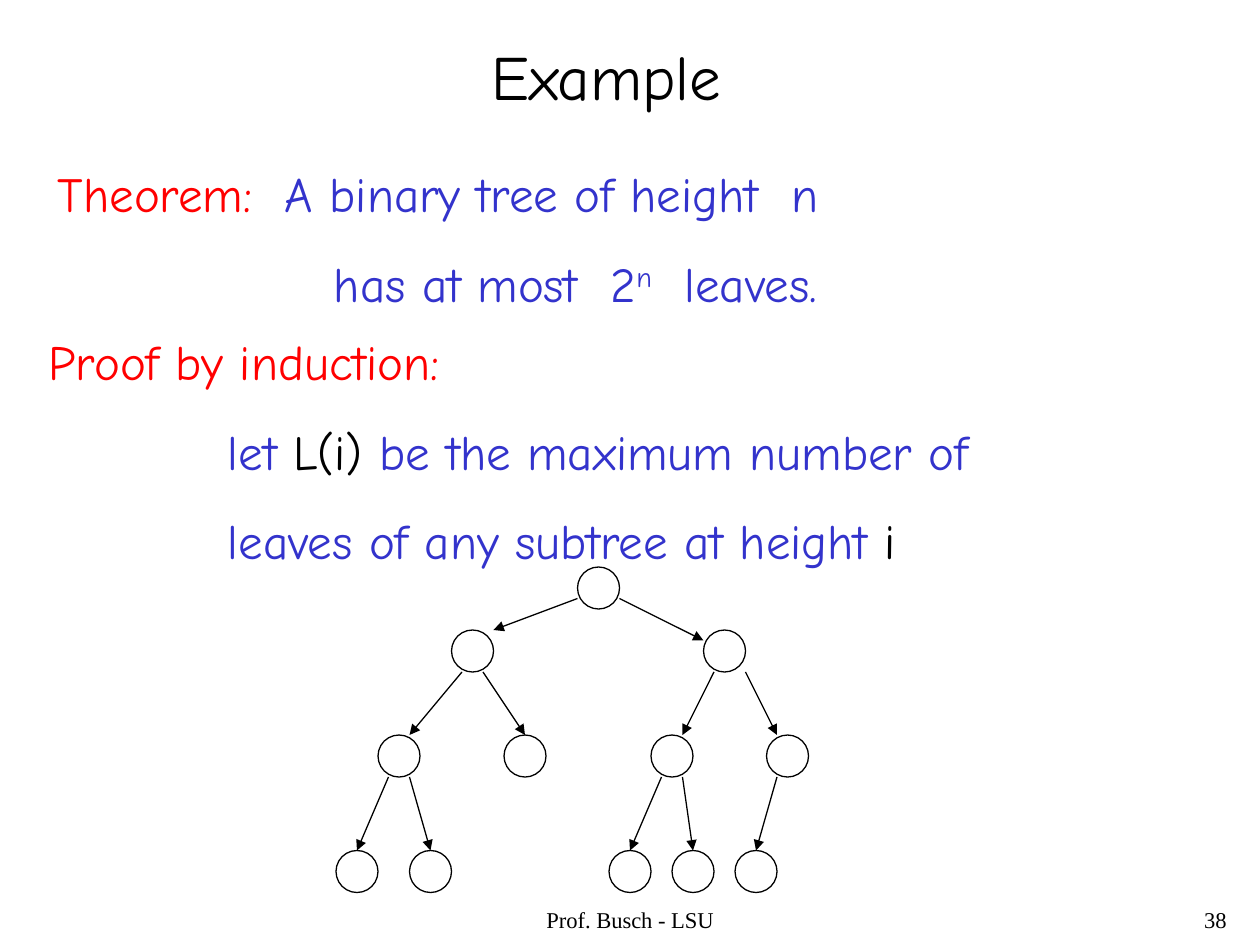
from dataclasses import dataclass

from lxml.etree import SubElement
from pptx import Presentation
from pptx.dml.color import RGBColor
from pptx.enum.shapes import MSO_CONNECTOR, MSO_SHAPE
from pptx.enum.text import MSO_ANCHOR, MSO_AUTO_SIZE, PP_ALIGN
from pptx.oxml.ns import qn
from pptx.util import Inches, Pt


@dataclass(frozen=True)
class Theme:
    ink: str = "000000"
    heading: str = "FF0000"
    statement: str = "3333CC"
    hand: str = "Comic Neue"
    serif: str = "Times New Roman"
    title_size: float = 36
    body_size: float = 28
    footer_size: float = 12.9
    paragraph_gap: float = 17.5
    stroke: float = 0.75


class TreeSlide:
    COLUMNS, ROWS = 120, 90
    NODE = 4

    def __init__(self, deck, theme):
        self.theme = theme
        self.slide = deck.slides.add_slide(deck.slide_layouts[3])
        self.column = deck.slide_width / self.COLUMNS
        self.row = deck.slide_height / self.ROWS

    def area(self, left, top, width, height):
        return (round(left * self.column), round(top * self.row),
                round(width * self.column), round(height * self.row))

    def place(self, holder, box):
        holder.left, holder.top, holder.width, holder.height = self.area(*box)
        frame = holder.text_frame
        frame.word_wrap = True
        frame.auto_size = MSO_AUTO_SIZE.NONE
        frame.vertical_anchor = MSO_ANCHOR.TOP
        return frame

    def style(self, run, font, size, color):
        run.font.name = font
        run.font.size = Pt(size)
        run.font.color.rgb = RGBColor.from_string(color)

    def title(self, wording, box):
        frame = self.place(self.slide.shapes.title, box)
        frame.text = wording
        heading = frame.paragraphs[0]
        heading.alignment = PP_ALIGN.LEFT
        self.style(heading.runs[0], self.theme.hand, self.theme.title_size, self.theme.ink)

    def body(self, index, box, indent, lines):
        frame = self.place(self.slide.placeholders[index], box)
        for number, pieces in enumerate(lines):
            line = frame.add_paragraph() if number else frame.paragraphs[0]
            line.line_spacing = 1.0
            line.space_before = Pt(self.theme.paragraph_gap)
            properties = line._p.get_or_add_pPr()
            properties.set("marL", str(round(indent * self.column) if number else 0))
            properties.set("indent", "0")
            SubElement(properties, qn("a:buNone"))
            for wording, color, *raised in pieces:
                run = line.add_run()
                run.text = wording
                self.style(run, self.theme.hand, self.theme.body_size, color)
                if raised:
                    run.font._element.set("baseline", "30000")

    def footer(self, wording, box, alignment):
        frame = self.place(self.slide.shapes.add_textbox(*self.area(*box)), box)
        frame.text = wording
        note = frame.paragraphs[0]
        note.alignment = alignment
        note.line_spacing = 0.9
        self.style(note.runs[0], self.theme.serif, self.theme.footer_size, self.theme.ink)

    def outline(self, line):
        line.color.rgb = RGBColor.from_string(self.theme.ink)
        line.width = Pt(self.theme.stroke)

    def node(self, left, top):
        circle = self.slide.shapes.add_shape(
            MSO_SHAPE.OVAL, *self.area(left, top, self.NODE, self.NODE))
        circle.shadow.inherit = False
        circle.fill.background()
        self.outline(circle.line)

    def arrow(self, start, end):
        edge = self.slide.shapes.add_connector(
            MSO_CONNECTOR.STRAIGHT, *self.area(*start, *end))
        self.outline(edge.line)
        SubElement(edge.line._get_or_add_ln(), qn("a:tailEnd"), type="triangle")
        SubElement(edge._element.spPr, qn("a:effectLst"))


LEVELS = {54: (55,), 60: (43, 67), 70: (36, 48, 62, 73), 81: (32, 39, 58, 64, 70)}
ROOT_EDGES = (((55, 57), (47, 60)), ((59, 57), (67, 61)))
LOWER_EDGES = {
    (64, 70): ((44, 39), (46, 50), (68, 65), (71, 74)),
    (74, 81): ((37, 34), (39, 41), (63, 60), (65, 66), (74, 72)),
}


def main():
    deck = Presentation()
    deck.slide_width, deck.slide_height = Inches(10), Inches(7.5)
    theme = Theme()
    page = TreeSlide(deck, theme)

    page.footer("Prof. Busch - LSU", (41, 86, 38, 4), PP_ALIGN.CENTER)
    page.footer("38", (93, 86, 25, 4), PP_ALIGN.RIGHT)
    page.title("Example", (45.6, 3, 25, 8.4))
    page.body(1, (4.3, 15, 77, 15.4), 26.3, [
        [("Theorem:  ", theme.heading), ("A binary tree of height  n", theme.statement)],
        [("has at most  2", theme.statement), ("n", theme.statement, True),
         ("  leaves.", theme.statement)],
    ])
    page.body(2, (3.4, 31, 92, 23.9), 17.1, [
        [("Proof by induction:", theme.heading)],
        [("let ", theme.statement), ("L(i)", theme.ink),
         (" be the maximum number of", theme.statement)],
        [("leaves of any subtree at height ", theme.statement), ("i", theme.ink)],
    ])

    for top, lefts in LEVELS.items():
        for left in lefts:
            page.node(left, top)
    for start, end in ROOT_EDGES:
        page.arrow(start, end)
    for (parent_row, child_row), spans in LOWER_EDGES.items():
        for parent, child in spans:
            page.arrow((parent, parent_row), (child, child_row))

    deck.save("out.pptx")


if __name__ == "__main__":
    main()
